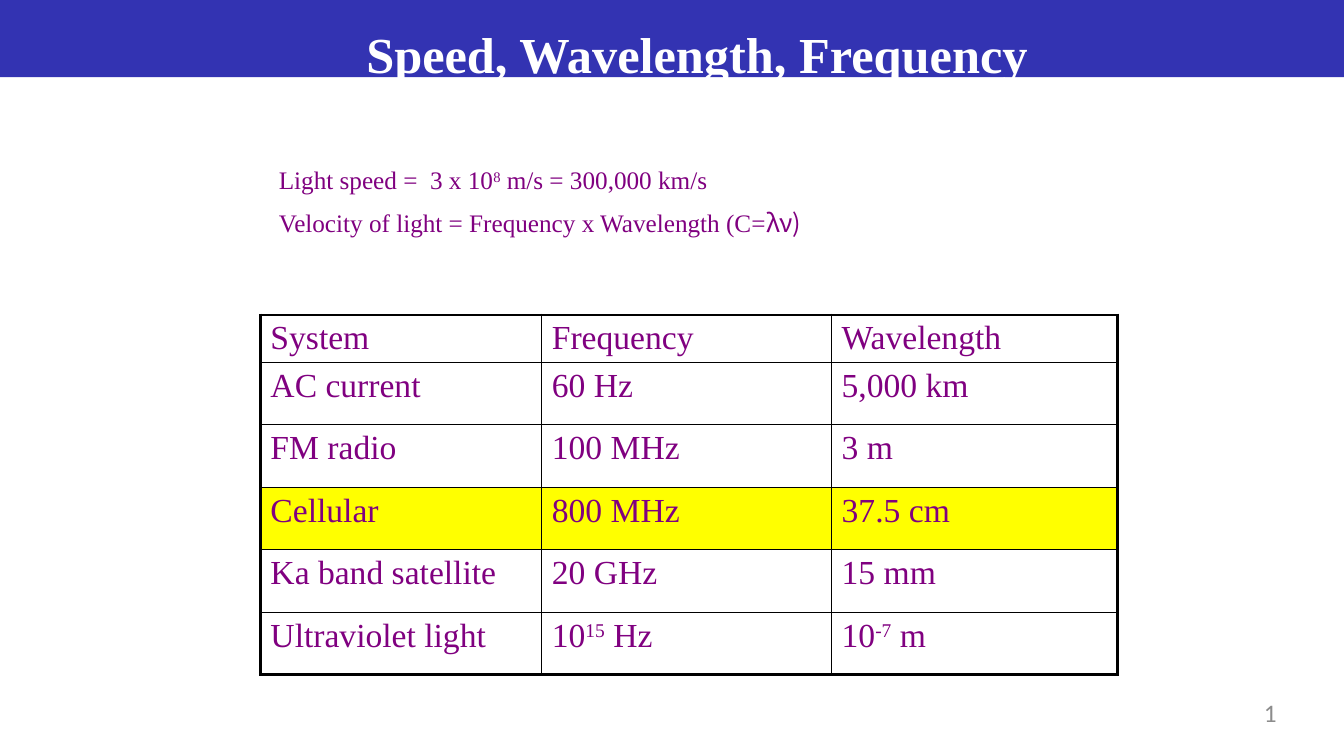
"""Build a slide on the speed, wavelength and frequency of light."""
from lxml import etree
from pptx import Presentation
from pptx.dml.color import RGBColor
from pptx.enum.shapes import MSO_SHAPE
from pptx.enum.text import MSO_ANCHOR, MSO_AUTO_SIZE, PP_ALIGN
from pptx.oxml.ns import qn
from pptx.util import Inches, Pt

RECT = MSO_SHAPE.RECTANGLE
TOP = MSO_ANCHOR.TOP
FIXED = MSO_AUTO_SIZE.NONE
LEFT, CENTER, RIGHT = PP_ALIGN.LEFT, PP_ALIGN.CENTER, PP_ALIGN.RIGHT

THEME = {
    "band": "3333B2", "title": "FFFFFF", "text": "800080", "number": "8C8C8C",
    "mark": "FFFF00", "line": "000000",
    "serif": "Times New Roman", "sans": "Calibri", "greek": "Noto Sans CJK JP",
    "head": 36, "cell": 24, "body": 18, "thick": 2.25, "thin": 1,
}

deck = Presentation()
deck.slide_width, deck.slide_height = Inches(13.333), Inches(7.5)
COL, ROW = deck.slide_width / 160, deck.slide_height / 90
slide = deck.slides.add_slide(deck.slide_layouts[1])
shapes = slide.shapes


def grid(left, top, width, height):
    """Turn columns and rows of the grid into slide lengths."""
    return int(left * COL), int(top * ROW), int(width * COL), int(height * ROW)


def write(para, text, size="body", color="text", font="serif", bold=False, align=LEFT):
    """Add text to a paragraph, raising what stands between carets."""
    para.alignment = align
    for i, part in enumerate(text.split("^")):
        run = para.add_run()
        run.text = part
        run.font.size, run.font.bold = Pt(THEME[size]), bold
        run.font.name = THEME[font]
        run.font.color.rgb = RGBColor.from_string(THEME[color])
        if i % 2:
            run.font._element.set("baseline", "30000")


band = shapes.add_shape(RECT, *grid(0, 0, 160, 9.2))
band.shadow.inherit = False
band.fill.solid()
band.fill.fore_color.rgb = RGBColor.from_string(THEME["band"])
band.line.fill.background()
shapes._spTree.insert(2, band._element)

title, body = shapes.title, slide.placeholders[1]
number = shapes.add_textbox(*grid(118.7, 83, 33.3, 3.6))
for box, place in ((title, (32, 2, 102, 7.3)), (body, (32, 19, 103, 10.3))):
    box.left, box.top, box.width, box.height = grid(*place)
for box in (title, body, number):
    frame = box.text_frame
    frame.word_wrap, frame.auto_size, frame.vertical_anchor = True, FIXED, TOP
    if box is not body:
        frame.margin_left = frame.margin_right = 0
        frame.margin_top = frame.margin_bottom = 0
title.text_frame.margin_top = int(0.7 * ROW)

write(title.text_frame.paragraphs[0], "Speed, Wavelength, Frequency",
      size="head", color="title", bold=True, align=CENTER)
write(number.text_frame.paragraphs[0], "1", color="number", font="sans", align=RIGHT)

speed = body.text_frame.paragraphs[0]
law = body.text_frame.add_paragraph()
for para, gap in ((speed, 0), (law, THEME["body"] / 2)):
    props = para._p.get_or_add_pPr()
    props.set("marL", "0")
    props.set("indent", "0")
    etree.SubElement(props, qn("a:buNone"))
    para.space_before = Pt(gap)
write(speed, "Light speed =  3 x 10^8^ m/s = 300,000 km/s")
write(law, "Velocity of light = Frequency x Wavelength (C=")
write(law, "λν)", font="greek")

DATA = [
    ("System", "Frequency", "Wavelength"),
    ("AC current", "60 Hz", "5,000 km"),
    ("FM radio", "100 MHz", "3 m"),
    ("Cellular", "800 MHz", "37.5 cm"),
    ("Ka band satellite", "20 GHz", "15 mm"),
    ("Ultraviolet light", "10^15^ Hz", "10^-7^ m"),
]
WIDE = (33.5, 34.5, 34)
TALL = (5.6,) + (7.44,) * 5
table = shapes.add_table(len(TALL), len(WIDE),
                         *grid(31, 37.5, sum(WIDE), sum(TALL))).table
table.first_row = table.horz_banding = False
for col, wide in zip(table.columns, WIDE):
    col.width = int(wide * COL)
for r, (row, tall, texts) in enumerate(zip(table.rows, TALL, DATA)):
    row.height = int(tall * ROW)
    for c, (cell, text) in enumerate(zip(row.cells, texts)):
        write(cell.text_frame.paragraphs[0], text, size="cell")
        edges = {"a:lnL": c == 0, "a:lnR": c == len(WIDE) - 1,
                 "a:lnT": r == 0, "a:lnB": r == len(TALL) - 1}
        props = cell._tc.get_or_add_tcPr()
        for tag, outer in edges.items():
            width = Pt(THEME["thick" if outer else "thin"])
            line = etree.SubElement(props, qn(tag), w=str(width))
            fill = etree.SubElement(line, qn("a:solidFill"))
            etree.SubElement(fill, qn("a:srgbClr"), val=THEME["line"])
        if texts[0] == "Cellular":
            cell.fill.solid()
            cell.fill.fore_color.rgb = RGBColor.from_string(THEME["mark"])
        else:
            cell.fill.background()

deck.save("out.pptx")
